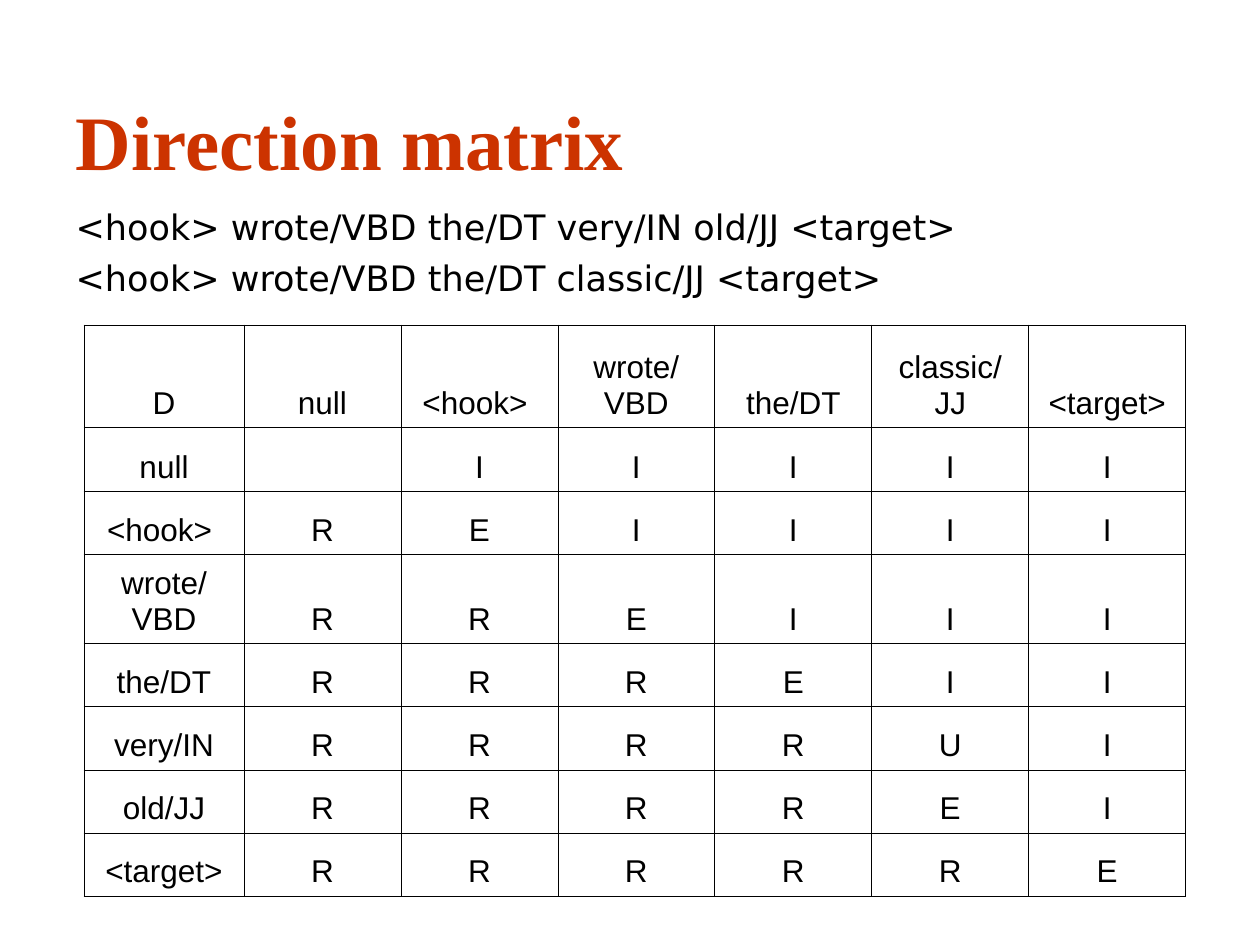
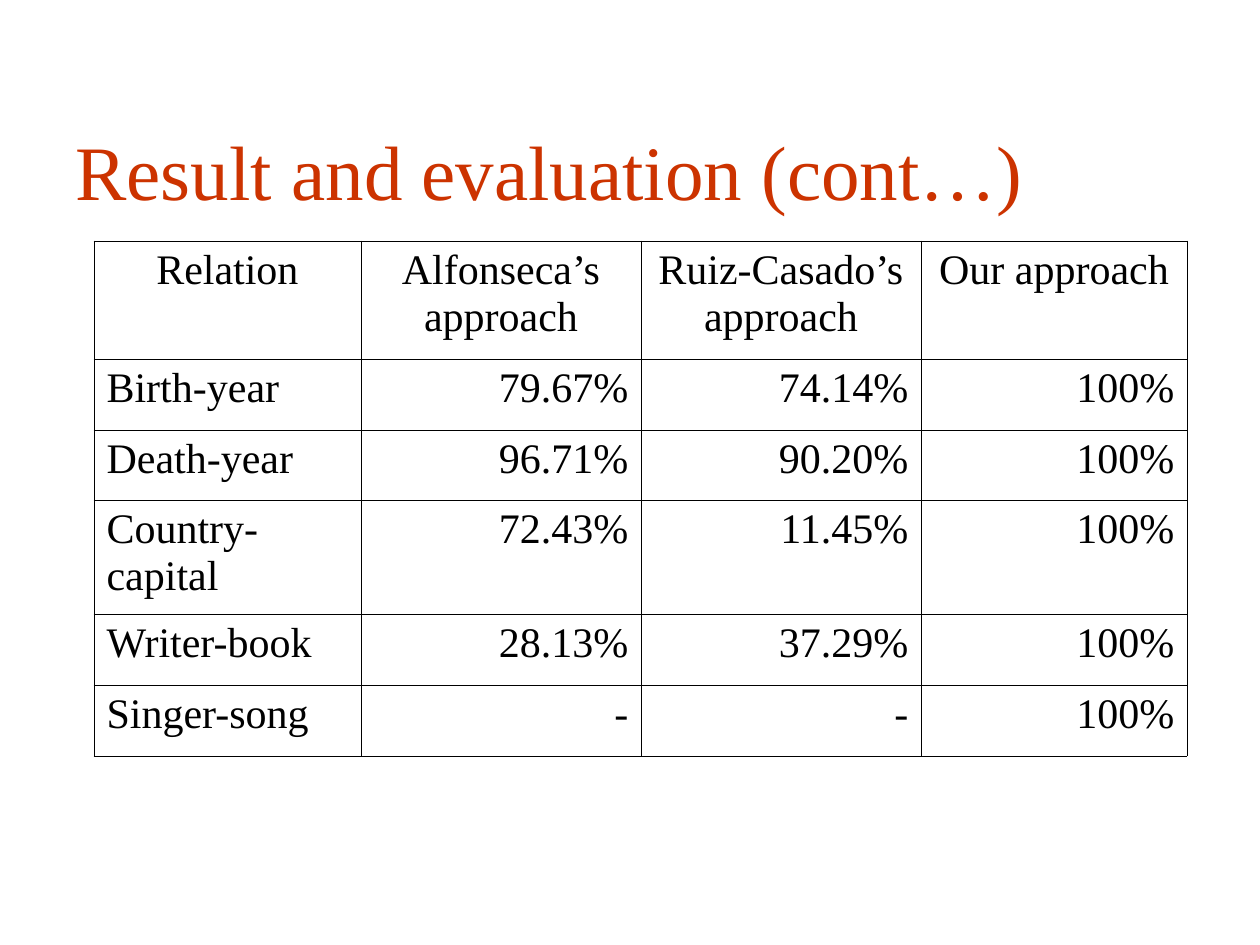
from lxml.etree import SubElement
from pptx import Presentation
from pptx.dml.color import RGBColor
from pptx.enum.text import MSO_ANCHOR, MSO_AUTO_SIZE, PP_ALIGN
from pptx.oxml import parse_xml
from pptx.oxml.ns import nsdecls, qn
from pptx.util import Emu, Pt

PX_PER_INCH = 126
COLORS = {"title": "CC3300", "text": "000000", "border": "000000"}
SERIF = "Times New Roman"
LEFT, CENTER, RIGHT = PP_ALIGN.LEFT, PP_ALIGN.CENTER, PP_ALIGN.RIGHT

PATTERNS = [
    "<hook> wrote/VBD the/DT very/IN old/JJ <target>",
    "<hook> wrote/VBD the/DT classic/JJ <target>",
]
DIRECTION_MATRIX = [
    ["D", "null", "<hook> ", "wrote/VBD", "the/DT", "classic/JJ", "<target>"],
    ["null", "", *"IIIII"],
    ["<hook> ", *"REIIII"],
    ["wrote/VBD", *"RREIII"],
    ["the/DT", *"RRREII"],
    ["very/IN", *"RRRRUI"],
    ["old/JJ", *"RRRREI"],
    ["<target>", *"RRRRRE"],
]
RESULTS = [
    ["Relation", "Alfonseca’s approach", "Ruiz-Casado’s approach", "Our approach"],
    ["Birth-year", "79.67%", "74.14%", "100%"],
    ["Death-year", "96.71%", "90.20%", "100%"],
    ["Country-capital", "72.43%", "11.45%", "100%"],
    ["Writer-book", "28.13%", "37.29%", "100%"],
    ["Singer-song", "-", "-", "100%"],
]


def px(length):
    return Emu(round(length * 914400 / PX_PER_INCH))


def place(shape, left, top, width, height):
    shape.left, shape.top = px(left), px(top)
    shape.width, shape.height = px(width), px(height)


def format_runs(para, font, size, color, bold=False):
    for span in para.runs:
        span.font.name = font
        span.font.size = Pt(size)
        span.font.bold = bold
        span.font.color.rgb = RGBColor.from_string(COLORS[color])


def add_page(deck, layout_index, title, title_height, bold=False):
    page = deck.slides.add_slide(deck.slide_layouts[layout_index])
    box = page.shapes.title
    place(box, 63, 91, 1134, title_height)
    frame = box.text_frame
    frame.text = title
    frame.auto_size = MSO_AUTO_SIZE.NONE
    frame.vertical_anchor = MSO_ANCHOR.MIDDLE
    para = frame.paragraphs[0]
    para.alignment = LEFT
    format_runs(para, SERIF, 44, "title", bold)
    return page


def fill_body(page, lines):
    box = page.placeholders[1]
    place(box, 63, 199, 1134, 105)
    frame = box.text_frame
    frame.text = "\n".join(lines)
    frame.auto_size = MSO_AUTO_SIZE.NONE
    for para in frame.paragraphs:
        para.space_before = Pt(5)
        format_runs(para, "DejaVu Sans", 20, "text")
        properties = para._p.get_or_add_pPr()
        properties.set("marL", str(px(48)))
        properties.set("indent", str(px(-48)))
        SubElement(properties, qn("a:buNone"))


def add_borders(cell):
    properties = cell._tc.get_or_add_tcPr()
    for index, side in enumerate(("lnL", "lnR", "lnT", "lnB")):
        line = parse_xml(
            f'<a:{side} {nsdecls("a")} w="{Pt(0.45)}"><a:solidFill>'
            f'<a:srgbClr val="{COLORS["border"]}"/></a:solidFill></a:{side}>'
        )
        properties.insert(index, line)


def add_grid(page, rows, left, top, widths, heights, font, size, anchor, align):
    frame = page.shapes.add_table(
        len(rows), len(widths), px(left), px(top), px(sum(widths)), px(sum(heights))
    )
    table = frame.table
    table.first_row = table.horz_banding = False
    for column, width in zip(table.columns, widths):
        column.width = px(width)
    for row, height in zip(table.rows, heights):
        row.height = px(height)
    for row_index, row in enumerate(rows):
        for column_index, text in enumerate(row):
            cell = table.cell(row_index, column_index)
            cell.fill.background()
            add_borders(cell)
            cell.vertical_anchor = anchor
            cell.text_frame.text = text
            para = cell.text_frame.paragraphs[0]
            para.alignment = align(row_index, column_index)
            format_runs(para, font, size, "text")


def align_matrix(row_index, column_index):
    return CENTER


def align_results(row_index, column_index):
    if row_index == 0:
        return CENTER
    return LEFT if column_index == 0 else RIGHT


def main():
    deck = Presentation()
    deck.slide_width, deck.slide_height = px(1260), px(945)

    page = add_page(deck, 1, "Direction matrix", 98, bold=True)
    fill_body(page, PATTERNS)
    add_grid(page, DIRECTION_MATRIX, 84, 325, [160] + [157] * 6,
             [102, 64, 63, 89, 63, 64, 63, 63],
             "Arial", 18, MSO_ANCHOR.BOTTOM, align_matrix)

    page = add_page(deck, 5, "Result and evaluation (cont…)", 157)
    add_grid(page, RESULTS, 94, 241, [267, 280, 280, 266],
             [118, 71, 70, 114, 71, 71],
             SERIF, 24, MSO_ANCHOR.TOP, align_results)

    deck.save("out.pptx")


if __name__ == "__main__":
    main()
